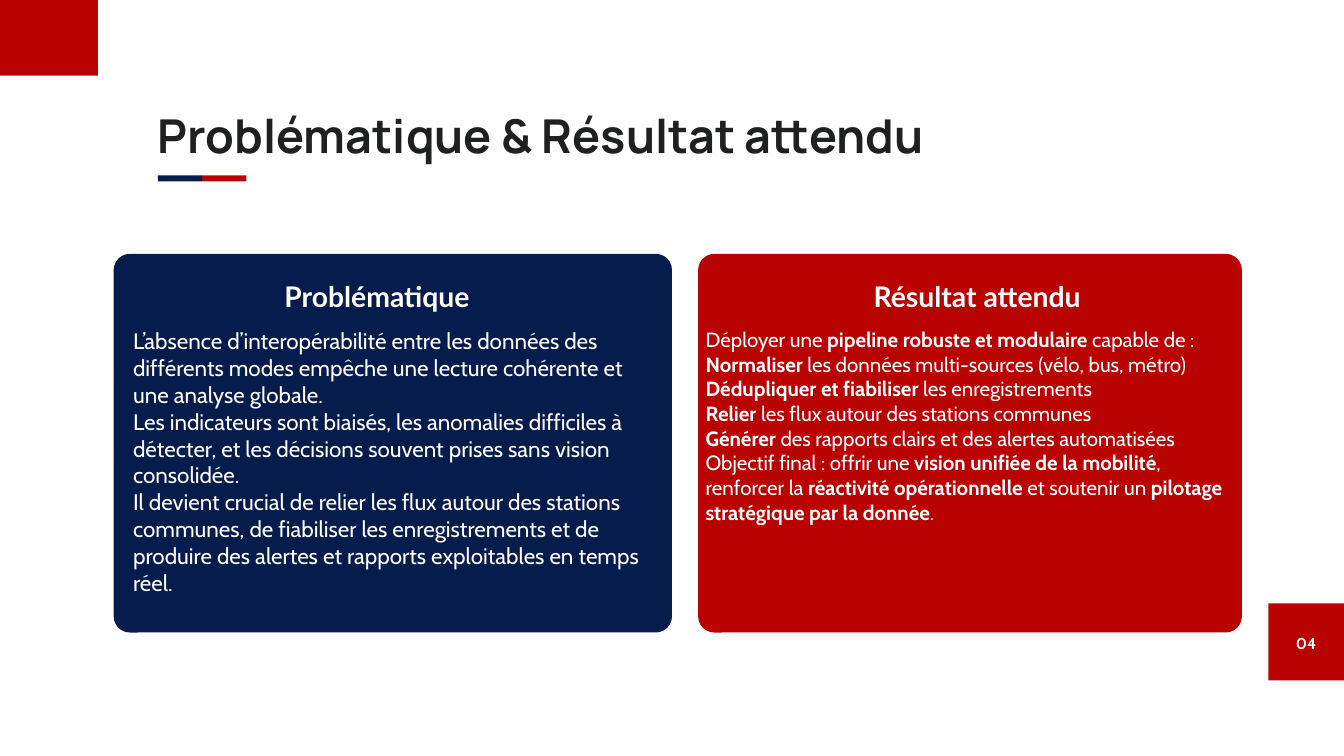
"""Build the problem statement and expected result slide."""
from pptx import Presentation
from pptx.dml.color import RGBColor
from pptx.enum.shapes import MSO_SHAPE as SHAPE
from pptx.enum.text import MSO_ANCHOR as ANCHOR, MSO_AUTO_SIZE as AUTO, PP_ALIGN as ALIGN
from pptx.util import Pt

NAVY = RGBColor(0x06, 0x1C, 0x4C)
RED = RGBColor(0xB9, 0x03, 0x03)
INK = RGBColor(0x1F, 0x20, 0x20)
WHITE = RGBColor(0xFF, 0xFF, 0xFF)

PROBLEM = [
    "L’absence d’interopérabilité entre les données des différents modes "
    "empêche une lecture cohérente et une analyse globale.\n"
    "Les indicateurs sont biaisés, les anomalies difficiles à détecter, "
    "et les décisions souvent prises sans vision consolidée.\n"
    "Il devient crucial de relier les flux autour des stations communes, "
    "de fiabiliser les enregistrements et de produire des alertes et "
    "rapports exploitables en temps réel.",
]
RESULT = [
    "Déployer une **pipeline robuste et modulaire** capable de :",
    "**Normaliser** les données multi-sources (vélo, bus, métro)",
    "**Dédupliquer et fiabiliser** les enregistrements",
    "**Relier** les flux autour des stations communes",
    "**Générer** des rapports clairs et des alertes automatisées\n"
    "Objectif final : offrir une **vision unifiée de la mobilité**, "
    "renforcer la **réactivité opérationnelle** et soutenir un "
    "**pilotage stratégique par la donnée**.",
]


class Deck:
    """Hold the style and the current slide."""

    def __init__(self, width, height):
        self.prs = Presentation()
        self.prs.slide_width, self.prs.slide_height = Pt(width), Pt(height)
        self.s = self.prs.slides.add_slide(self.prs.slide_layouts[5])

    def block(self, x, y, w, h, color, radius=0):
        kind = SHAPE.ROUNDED_RECTANGLE if radius else SHAPE.RECTANGLE
        sp = self.s.shapes.add_shape(kind, Pt(x), Pt(y), Pt(w), Pt(h))
        if radius:
            sp.adjustments[0] = radius / min(w, h)
        sp.fill.solid()
        sp.fill.fore_color.rgb = color
        sp.line.fill.background()
        sp.shadow.inherit = False

    def frame(self, sp):
        tf = sp.text_frame
        tf.word_wrap, tf.auto_size = True, AUTO.NONE
        tf.vertical_anchor = ANCHOR.TOP
        tf.margin_left = tf.margin_right = tf.margin_top = tf.margin_bottom = 0
        return tf

    def style(self, p, font, size, color, align=ALIGN.LEFT, bold=None, leading=None):
        p.alignment = align
        if leading:
            p.line_spacing = Pt(leading)
        p.font.name, p.font.size, p.font.bold = font, Pt(size), bold
        p.font.color.rgb = color

    def title(self, x, y, w, h, text):
        sp = self.s.shapes.title
        sp.left, sp.top, sp.width, sp.height = Pt(x), Pt(y), Pt(w), Pt(h)
        p = self.frame(sp).paragraphs[0]
        p.text = text
        self.style(p, "Manrope", 50, INK, bold=True, leading=56)

    def label(self, x, y, w, h, text, font, size, leading):
        sp = self.s.shapes.add_textbox(Pt(x), Pt(y), Pt(w), Pt(h))
        p = self.frame(sp).paragraphs[0]
        p.text = text
        self.style(p, font, size, WHITE, ALIGN.CENTER, True, leading)

    def body(self, x, y, w, h, lines, size):
        sp = self.s.shapes.add_textbox(Pt(x), Pt(y), Pt(w), Pt(h))
        tf = self.frame(sp)
        for i, line in enumerate(lines):
            p = tf.add_paragraph() if i else tf.paragraphs[0]
            for j, part in enumerate(line.split("**")):
                for k, text in enumerate(part.split("\n")):
                    if k:
                        p.add_line_break()
                    if text:
                        r = p.add_run()
                        r.text = text
                        if j % 2:
                            r.font.bold = True
            self.style(p, "Cabin", size, WHITE)


def main():
    deck = Deck(1440, 810)
    deck.title(169.2, 118, 839, 57, "Problématique & Résultat attendu")
    deck.block(0, 0, 105, 81, RED)
    for i, color in enumerate((NAVY, RED)):
        deck.block(169.2 + i * 47.4, 188, 47.4, 6.5, color)

    deck.block(121.8, 272, 598.2, 405.7, NAVY, 17.3)
    deck.label(283.5, 293, 241, 40, "Problématique", "Lato", 30.4, 42.6)
    deck.body(142.6, 350.6, 558.7, 291, PROBLEM, 24)

    deck.block(748, 272, 582.6, 405.7, RED, 17.3)
    deck.label(894, 293, 306, 40, "Résultat attendu", "Lato", 30.4, 42.6)
    deck.body(756, 350.6, 562.3, 293, RESULT, 22)

    deck.block(1359, 646.5, 81, 82.5, RED)
    deck.label(1377, 675.4, 45, 22, "04", "Cabin", 17, 23.8)
    deck.prs.save("out.pptx")


if __name__ == "__main__":
    main()
